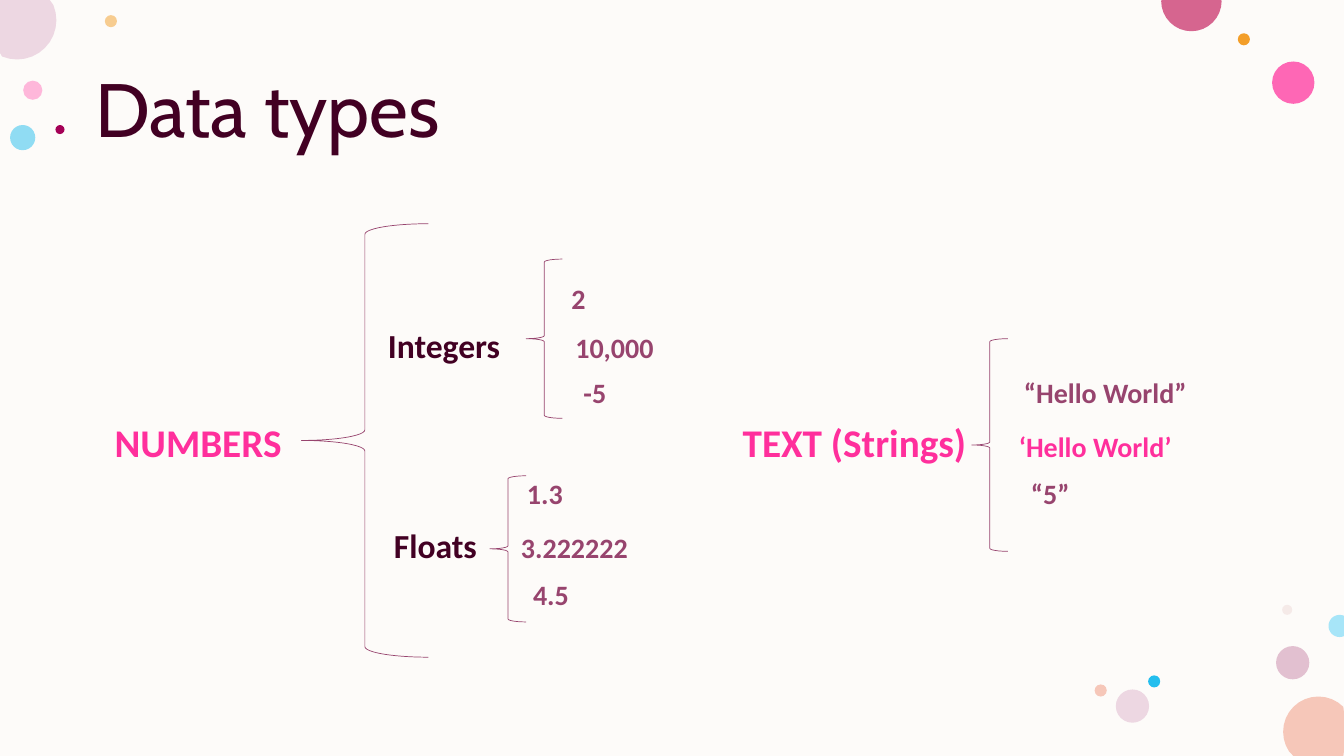
"""Build the "Data types" slide: braces sorting sample values into numbers and text."""
from math import cos, sin, tau

from pptx import Presentation
from pptx.dml.color import RGBColor
from pptx.enum.shapes import MSO_SHAPE as Preset
from pptx.enum.text import MSO_ANCHOR as Anchor
from pptx.oxml import parse_xml
from pptx.oxml.ns import nsdecls
from pptx.util import Inches, Pt

THEME = {
    "cream": "FDFBF9", "dark": "420023", "pink": "FF2F9C", "plum": "97446E",
    "title_font": "Cabin", "body_font": "Calibri",
    "title": 54, "group": 28, "type": 24, "value": 20, "line": 0.5,
}
WIDTH, HEIGHT = 40 / 3, 7.5
INSET = 0.1

TITLE = "Data types"
TITLE_FRAME = (0.85, 0.4, 11.66, 1.45)
BODY_FRAME = (0.85, 2.78, 11.66, 4.32)
ROWS = [
    ("value", [("2", 5.67, "value", "plum")]),
    ("value", [("Integers", 3.85, "type", "dark"), ("10,000", 5.71, "value", "plum")]),
    ("value", [("-5", 5.79, "value", "plum"), ("“Hello World”", 10.16, "value", "plum")]),
    ("value", [("NUMBERS", 1.14, "group", "pink"), ("TEXT (Strings)", 7.37, "group", "pink"),
               ("‘Hello World’", 10.11, "value", "pink")]),
    ("value", [("1.3", 5.23, "value", "plum"), ("“5”", 10.23, "value", "plum")]),
    ("group", [("Floats", 3.91, "type", "dark"), ("3.222222", 5.17, "value", "plum")]),
    ("value", [("4.5", 5.29, "value", "plum")]),
]
BRACES = [
    (5.22, 2.57, 0.36, 1.58),
    (4.86, 4.72, 0.36, 1.45),
    (2.99, 2.22, 1.26, 4.3),
    (9.64, 3.36, 0.36, 2.11),
]
DOTS = [
    (0.23, 0.8, 0.19, "FF75BD", 50), (1.04, 0.15, 0.12, "F39E29", 50),
    (12.66, 6.41, 0.33, "C987A8", 50), (0.1, 1.24, 0.25, "24BEEE", 50),
    (12.62, 0.61, 0.42, "FF2F9C", 72), (12.28, 0.33, 0.12, "F39E29", 100),
    (12.72, 6, 0.1, "E3BEBE", 28), (11.39, 6.7, 0.12, "24BEEE", 100),
    (11.07, 6.84, 0.33, "EDD7E2", 100), (10.86, 6.79, 0.12, "F6C7B9", 100),
    (0.55, 1.24, 0.09, "A40056", 100),
]
EDGE_CIRCLES = [
    (13.08, 7.26, 0.35, "F6C7B9"), (0.17, 0.2, 0.39, "EDD7E2"),
    (11.82, 0.01, 0.3, "D6658F"), (13.29, 6.21, 0.11, "A7E5F8"),
]


def add_filled(page, preset, frame, color, opacity=100):
    """Add a preset shape with a plain fill."""
    shape = page.shapes.add_shape(preset, *map(Inches, frame))
    paint(shape, color, opacity)


def paint(shape, color, opacity=100):
    """Give a shape a plain fill with no line or shadow."""
    shape.shadow.inherit = False
    shape.line.fill.background()
    shape.fill.solid()
    shape.fill.fore_color.rgb = RGBColor.from_string(color)
    if opacity < 100:
        alpha = parse_xml(f'<a:alpha {nsdecls("a")} val="{opacity * 1000}"/>')
        shape.fill._xPr.find(".//{*}srgbClr").append(alpha)


def add_edge_circle(page, center_x, center_y, radius, color, steps=32):
    """Add a circle cut off at the slide edges."""
    points = []
    for step in range(steps):
        angle = tau * step / steps
        x = min(max(center_x + radius * cos(angle), 0), WIDTH)
        y = min(max(center_y + radius * sin(angle), 0), HEIGHT)
        point = (Inches(x), Inches(y))
        if point not in points:
            points.append(point)
    builder = page.shapes.build_freeform(*points[0])
    builder.add_line_segments(points[1:], close=True)
    paint(builder.convert_to_shape(), color)


def add_brace(page, frame):
    """Add a thin left brace."""
    brace = page.shapes.add_shape(Preset.LEFT_BRACE, *map(Inches, frame))
    brace.shadow.inherit = False
    brace.fill.background()
    brace.line.color.rgb = RGBColor.from_string(THEME["plum"])
    brace.line.width = Pt(THEME["line"])


def add_box(page, frame, anchor):
    """Add an empty wrapping text box and return its text frame."""
    box = page.shapes.add_textbox(*map(Inches, frame)).text_frame
    box.word_wrap = True
    box.vertical_anchor = anchor
    return box


def add_span(para, text, *, size, color, font="body_font", bold=True):
    """Add formatted text to a paragraph."""
    span = para.add_run()
    span.text = text
    span.font.name = THEME[font]
    span.font.size = Pt(THEME[size])
    span.font.bold = bold
    span.font.color.rgb = RGBColor.from_string(THEME[color])


def set_tabs(para, lefts):
    """Place left tab stops at the given slide positions."""
    origin = BODY_FRAME[0] + INSET
    stops = "".join(f'<a:tab pos="{Inches(left - origin)}" algn="l"/>' for left in lefts)
    tabs = parse_xml(f'<a:tabLst {nsdecls("a")}>{stops}</a:tabLst>')
    para._p.get_or_add_pPr().append(tabs)


def add_body(page):
    """Write the rows of values, each label on its own tab stop."""
    box = add_box(page, BODY_FRAME, Anchor.TOP)
    for index, (gap_size, labels) in enumerate(ROWS):
        para = box.add_paragraph() if index else box.paragraphs[0]
        set_tabs(para, [left for _, left, _, _ in labels])
        para.line_spacing = 0.9
        para.space_before = Pt(10 if index else 0)
        for text, _, size, color in labels:
            add_span(para, "\t", size=gap_size, color=color)
            add_span(para, text, size=size, color=color)


def main():
    """Assemble and save the deck."""
    deck = Presentation()
    deck.slide_width, deck.slide_height = Inches(WIDTH), Inches(HEIGHT)
    page = deck.slides.add_slide(deck.slide_layouts[6])
    add_filled(page, Preset.RECTANGLE, (0, 0, WIDTH, HEIGHT), THEME["cream"])
    for left, top, size, color, opacity in DOTS:
        add_filled(page, Preset.OVAL, (left, top, size, size), color, opacity)
    for circle in EDGE_CIRCLES:
        add_edge_circle(page, *circle)
    title = add_box(page, TITLE_FRAME, Anchor.MIDDLE).paragraphs[0]
    title.line_spacing = 0.9
    add_span(title, TITLE, size="title", color="dark", font="title_font", bold=False)
    add_body(page)
    for frame in BRACES:
        add_brace(page, frame)
    deck.save("out.pptx")


if __name__ == "__main__":
    main()
